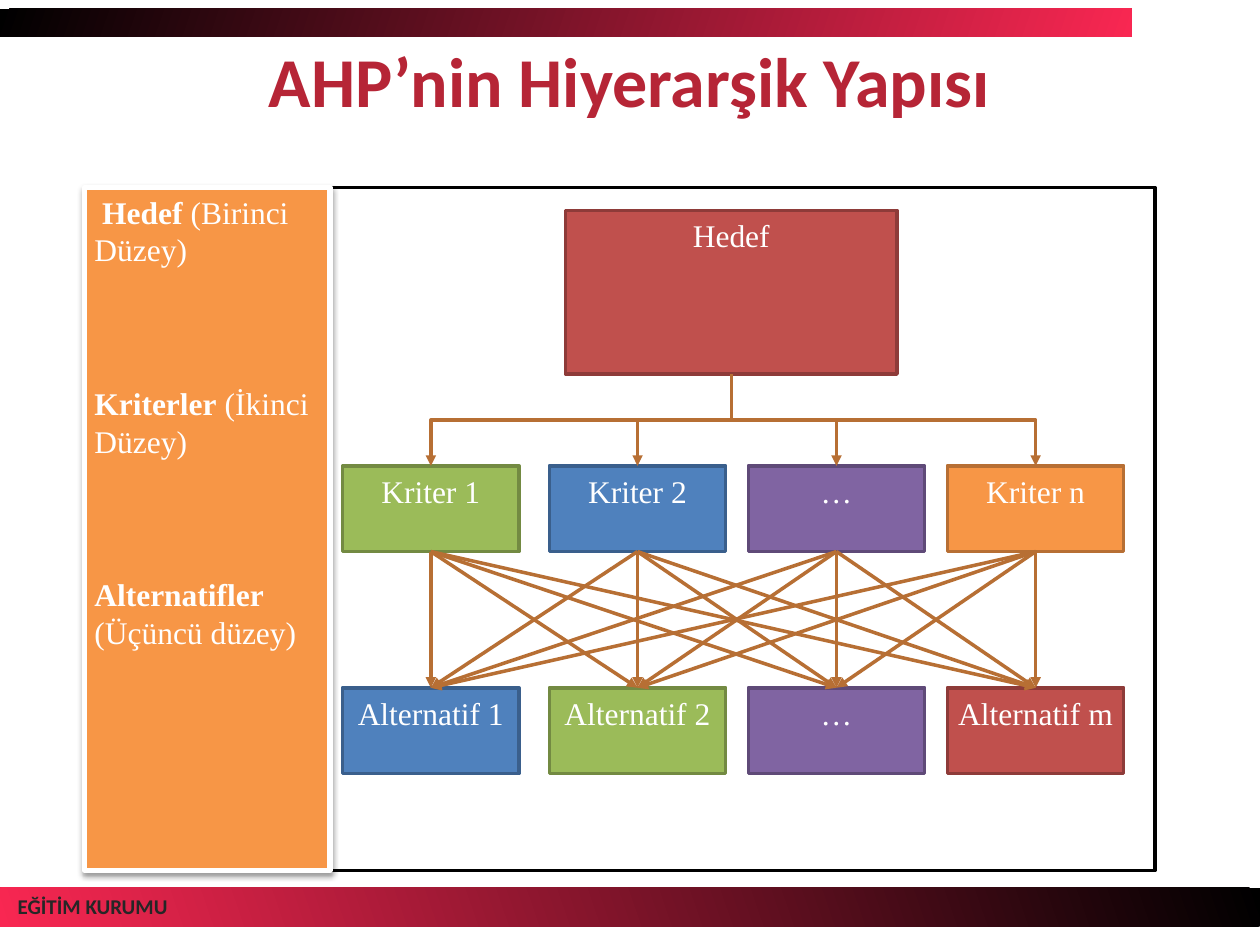
import pptx
import pptx.util
import pptx.dml.color
import pptx.enum.shapes
import pptx.enum.text
import pptx.oxml
import pptx.oxml.ns

Pt = pptx.util.Pt
SHAPE = pptx.enum.shapes.MSO_SHAPE
CONNECTOR = pptx.enum.shapes.MSO_CONNECTOR
ANCHOR = pptx.enum.text.MSO_ANCHOR
CENTER = pptx.enum.text.PP_ALIGN.CENTER
LEFT = pptx.enum.text.PP_ALIGN.LEFT
SERIF = "Times New Roman"
TOP, BOTTOM = 0, 2

COLORS = {
    "black": "000000", "white": "FFFFFF", "pink": "F92752",
    "title": "B62536", "footer": "262626",
    "red": "C0504D", "red_edge": "8E3B39",
    "green": "9BBB59", "green_edge": "738A42",
    "blue": "4F81BD", "blue_edge": "3A5F8C",
    "purple": "8064A2", "purple_edge": "5F4A78",
    "orange": "F79646", "orange_edge": "B76F34",
}


def rgb(name):
    return pptx.dml.color.RGBColor.from_string(COLORS[name])


def add_xml(parent, xml):
    parent.append(pptx.oxml.parse_xml(
        xml.replace(">", " " + pptx.oxml.ns.nsdecls("a") + ">", 1)))


def add_run(paragraph, text, size, color, font=SERIF, bold=False):
    run = paragraph.add_run()
    run.text = text
    run.font.name, run.font.size, run.font.bold = font, Pt(size), bold
    run.font.color.rgb = rgb(color)


def set_frame(frame, inset_x=7.2, inset_y=3.6, anchor=ANCHOR.TOP, wrap=True):
    frame.word_wrap = wrap
    frame.vertical_anchor = anchor
    frame.margin_left = frame.margin_right = Pt(inset_x)
    frame.margin_top = frame.margin_bottom = Pt(inset_y)


def add_rect(slide, box, fill, edge, width=2):
    rect = slide.shapes.add_shape(SHAPE.RECTANGLE, *map(Pt, box))
    rect.shadow.inherit = False
    rect.fill.solid()
    rect.fill.fore_color.rgb = rgb(fill)
    rect.line.color.rgb = rgb(edge)
    rect.line.width = Pt(width)
    return rect


def gradient_bar(slide, box, mirrored=False):
    bar = slide.shapes.add_shape(SHAPE.RECTANGLE, *map(Pt, box))
    bar.shadow.inherit = False
    bar.line.fill.background()
    bar.fill.gradient()
    bar.fill.gradient_angle = 341
    for stop, color in zip(bar.fill.gradient_stops, ("black", "pink")):
        stop.color.rgb = rgb(color)
    if mirrored:
        bar._element.spPr.xfrm.set("flipH", "1")


def footer(slide, box):
    left, top, _, height = box
    gradient_bar(slide, box, mirrored=True)
    label = slide.shapes.add_textbox(Pt(left + 3), Pt(top - 0.5), Pt(111.6), Pt(height))
    set_frame(label.text_frame, wrap=False)
    add_run(label.text_frame.paragraphs[0], "EĞİTİM KURUMU", 12, "footer", "Calibri", True)


def title(slide, box):
    heading = slide.shapes.add_textbox(*map(Pt, box))
    set_frame(heading.text_frame, anchor=ANCHOR.MIDDLE)
    paragraph = heading.text_frame.paragraphs[0]
    paragraph.alignment = CENTER
    add_run(paragraph, "AHP’nin Hiyerarşik Yapısı", 40, "title", "Calibri", True)


def level_sidebar(slide, box):
    sidebar = add_rect(slide, box, "orange", "white", 3)
    effects = sidebar._element.spPr.find(pptx.oxml.ns.qn("a:effectLst"))
    add_xml(effects, '<a:outerShdw blurRad="39370" dist="20320" dir="5400000" rotWithShape="0">'
                     '<a:srgbClr val="000000"><a:alpha val="38000"/></a:srgbClr></a:outerShdw>')
    frame = sidebar.text_frame
    set_frame(frame, 5.76, 2.88)
    levels = [(" Hedef", " (Birinci Düzey)"),
              ("Kriterler", " (İkinci Düzey)"),
              ("Alternatifler", " (Üçüncü düzey)")]
    for i, (level, order) in enumerate(levels):
        paragraph = frame.add_paragraph() if i else frame.paragraphs[0]
        paragraph.alignment = LEFT
        if i:
            paragraph.space_before = Pt(66)
        add_run(paragraph, level, 18, "white", bold=True)
        add_run(paragraph, order, 18, "white")


def node(slide, box, text, color, inset_x=7.2):
    rect = add_rect(slide, box, color, color + "_edge")
    set_frame(rect.text_frame, inset_x)
    paragraph = rect.text_frame.paragraphs[0]
    paragraph.alignment = CENTER
    add_run(paragraph, text, 18, "white")
    return rect


def arrow(slide, kind, upper, lower):
    """Arrow from the bottom of the upper node to the top of the lower one."""
    link = slide.shapes.add_connector(kind, 0, 0, 0, 0)
    link.begin_connect(upper, BOTTOM)
    link.end_connect(lower, TOP)
    link.line.color.rgb = rgb("orange_edge")
    link.line.width = Pt(2)
    add_xml(link.line._get_or_add_ln(), '<a:tailEnd type="triangle"></a:tailEnd>')
    add_xml(link._element.spPr, "<a:effectLst></a:effectLst>")
    return link


def elbow_arrow(slide, upper, lower):
    """Arrow that leaves downwards, so its frame is turned a quarter."""
    link = arrow(slide, CONNECTOR.ELBOW, upper, lower)
    x1, y1, x2, y2 = link.begin_x, link.begin_y, link.end_x, link.end_y
    drop, reach = y2 - y1, abs(x2 - x1)
    link.left, link.top = (x1 + x2 - drop) // 2, (y1 + y2 - reach) // 2
    link.width, link.height = drop, reach
    xfrm = link._element.spPr.xfrm
    xfrm.attrib.pop("flipH", None)
    if x2 > x1:
        xfrm.set("flipH", "1")
    xfrm.set("rot", str((270 if x2 > x1 else 90) * 60000))


def hierarchy(slide, box):
    left, top, _, height = box
    add_rect(slide, box, "white", "black")
    level_sidebar(slide, (left, top, 140.4, height))
    goal = node(slide, (left + 275, top + 13, 189.4, 93.6), "Hedef", "red")

    columns = [left + offset for offset in (147.6, 265.7, 379.4, 493.2)]

    def node_row(offset, entries, inset_x):
        return [node(slide, (x, top + offset, 100.8, 49), text, color, inset_x)
                for x, (text, color) in zip(columns, entries)]

    criteria = node_row(159, [("Kriter 1", "green"), ("Kriter 2", "blue"),
                              ("…", "purple"), ("Kriter n", "orange")], 7.2)
    alternatives = node_row(285.8, [("Alternatif 1", "blue"), ("Alternatif 2", "green"),
                                    ("…", "purple"), ("Alternatif m", "red")], 1.44)
    for criterion in criteria:
        elbow_arrow(slide, goal, criterion)
    for criterion in criteria:
        for alternative in alternatives:
            arrow(slide, CONNECTOR.STRAIGHT, criterion, alternative)


def main():
    deck = pptx.Presentation()
    deck.slide_width, deck.slide_height = Pt(720), Pt(540)
    slide = deck.slides.add_slide(deck.slide_layouts[6])
    footer(slide, (0, 507.4, 720, 22))
    gradient_bar(slide, (0, 5, 646.6, 16))
    title(slide, (7.2, 28.1, 704.9, 34.6))
    hierarchy(slide, (48.2, 107.2, 612, 390.2))
    deck.save("out.pptx")


if __name__ == "__main__":
    main()
